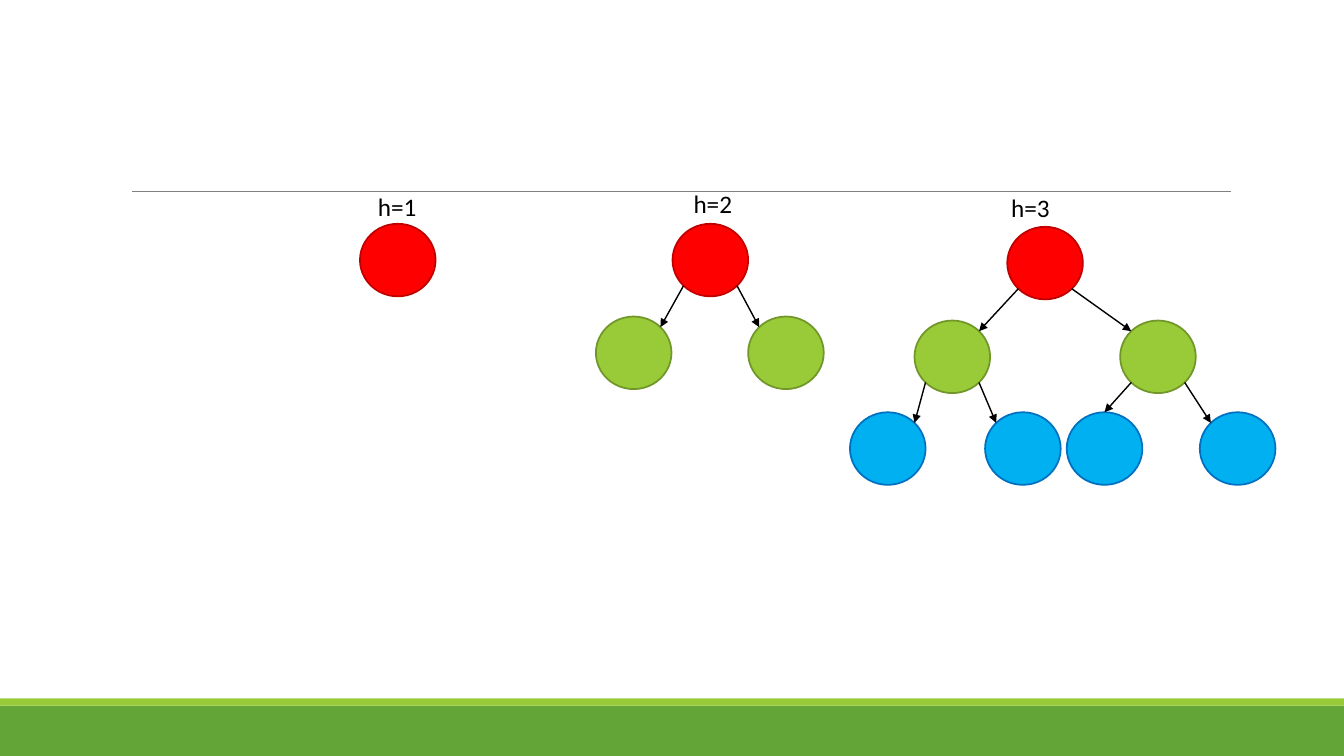
from dataclasses import dataclass
from math import sqrt

from lxml.etree import SubElement
from pptx import Presentation
from pptx.dml.color import RGBColor
from pptx.enum.shapes import MSO_CONNECTOR, MSO_SHAPE
from pptx.enum.text import MSO_AUTO_SIZE
from pptx.oxml.ns import qn
from pptx.util import Inches, Pt


@dataclass(frozen=True)
class Theme:
    font: str = "Calibri"
    label_size: int = 18
    text: str = "000000"
    rule: str = "808080"
    footer: str = "63A537"
    footer_edge: str = "99CB38"
    # Fill and outline of the nodes, by tree level
    levels: tuple = (("FF0000", "C00000"), ("99CB38", "719629"), ("00B0F0", "0070C0"))


theme = Theme()
NODE_WIDTH, NODE_HEIGHT = 0.75, 0.72
CORNER_X = NODE_WIDTH / 2 / sqrt(2)
CORNER_Y = NODE_HEIGHT / 2 / sqrt(2)

presentation = Presentation()
presentation.slide_width = Inches(13.33)
presentation.slide_height = Inches(7.5)
slide = presentation.slides.add_slide(presentation.slide_layouts[6])


def add_line(start, end, color, width, arrow=False):
    line = slide.shapes.add_connector(
        MSO_CONNECTOR.STRAIGHT, *(Inches(value) for value in (*start, *end))
    )
    line.line.color.rgb = RGBColor.from_string(color)
    line.line.width = Pt(width)
    properties = line._element.spPr
    if arrow:
        SubElement(properties.find(qn("a:ln")), qn("a:tailEnd"), type="triangle")
    SubElement(properties, qn("a:effectLst"))
    return line


def add_text(text, left, top, width, height, size=theme.label_size, color=theme.text):
    box = slide.shapes.add_textbox(Inches(left), Inches(top), Inches(width), Inches(height))
    box.text_frame.word_wrap = False
    box.text_frame.auto_size = MSO_AUTO_SIZE.SHAPE_TO_FIT_TEXT
    paragraph = box.text_frame.paragraphs[0]
    paragraph.text = text
    paragraph.font.name = theme.font
    paragraph.font.size = Pt(size)
    paragraph.font.color.rgb = RGBColor.from_string(color)


# Footer bands and the rule above the trees
for top, height, color in ((7, 0.5, theme.footer), (6.93, 0.07, theme.footer_edge)):
    band = slide.shapes.add_shape(
        MSO_SHAPE.RECTANGLE, 0, Inches(top), presentation.slide_width, Inches(height)
    )
    band.shadow.inherit = False
    band.fill.solid()
    band.fill.fore_color.rgb = RGBColor.from_string(color)
    band.line.fill.background()
add_line((1.31, 1.9), (12.21, 1.9), theme.rule, 0.5)

# Label, its position, the top of each level, and the left edges of the nodes by level.
# Node i on one level is the parent of nodes 2i and 2i + 1 on the next.
trees = (
    ("h=1", 3.65, 1.85, (2.22,), ((3.57,),)),
    ("h=2", 6.78, 1.82, (2.22, 3.14), ((6.67,), (5.91, 7.42))),
    ("h=3", 9.93, 1.86, (2.25, 3.18, 4.09),
     ((9.99,), (9.07, 11.11), (8.43, 9.77, 10.58, 11.9))),
)

for label, label_left, label_top, level_tops, levels in trees:
    add_text(label, label_left, label_top, 0.59, 0.4)
    parents = []
    for top, lefts, (fill, outline) in zip(level_tops, levels, theme.levels):
        nodes = []
        center_y = top + NODE_HEIGHT / 2
        for index, left in enumerate(lefts):
            node = slide.shapes.add_shape(
                MSO_SHAPE.OVAL, Inches(left), Inches(top),
                Inches(NODE_WIDTH), Inches(NODE_HEIGHT),
            )
            node.shadow.inherit = False
            node.fill.solid()
            node.fill.fore_color.rgb = RGBColor.from_string(fill)
            node.line.color.rgb = RGBColor.from_string(outline)
            node.line.width = Pt(1.25)
            center_x = left + NODE_WIDTH / 2
            nodes.append((center_x, center_y))
            if not parents:
                continue

            parent_x, parent_y = parents[index // 2]
            side = -1 if index % 2 == 0 else 1
            start = (parent_x + side * CORNER_X, parent_y + CORNER_Y)
            end = (center_x - side * CORNER_X, center_y - CORNER_Y)
            # A corner straight below the start gives way to the top of the node
            below_start = abs(end[0] - start[0]) < 0.05
            if below_start:
                end = (center_x, top)
            arrow = add_line(start, end, theme.text, 1, arrow=True)
            if below_start:
                arrow.end_connect(node, 0)
        parents = nodes

presentation.save("out.pptx")
